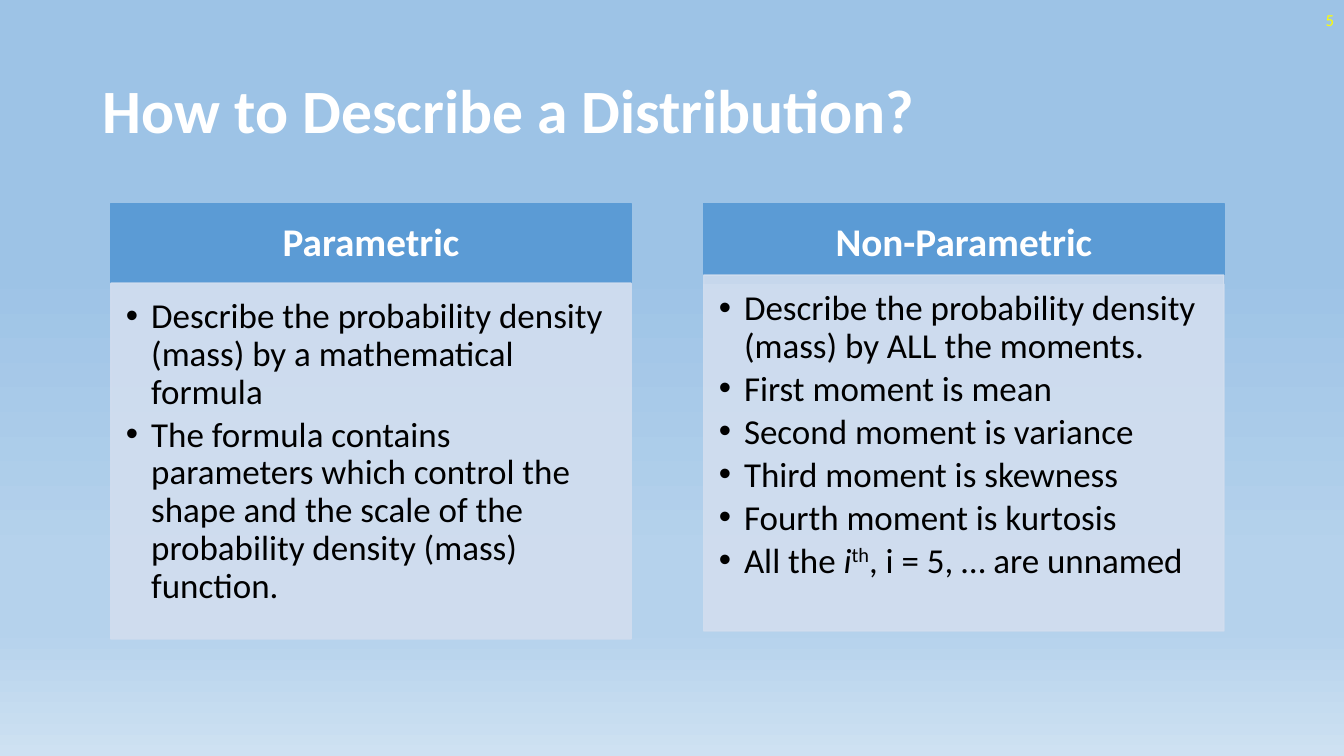
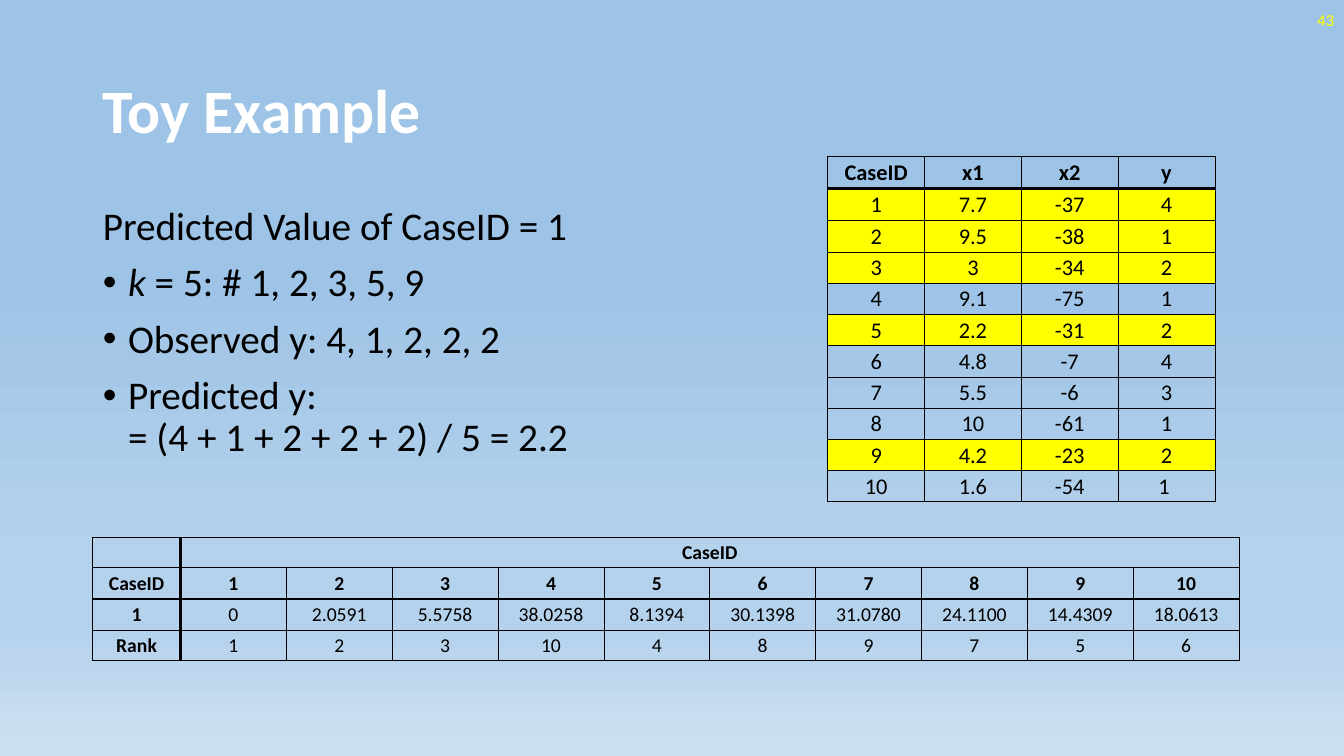
from lxml.etree import SubElement
from pptx import Presentation
from pptx.dml.color import RGBColor
from pptx.enum.shapes import MSO_SHAPE as SHAPE
from pptx.enum.text import MSO_ANCHOR as ANCHOR, MSO_AUTO_SIZE as FIT, PP_ALIGN as ALIGN
from pptx.oxml.ns import qn
from pptx.util import Inches, Pt

FONT = "Calibri"
WHITE = RGBColor(0xFF, 0xFF, 0xFF)
BLACK = RGBColor(0, 0, 0)
YELLOW = RGBColor(0xFF, 0xFF, 0)
BLUE = RGBColor(0x5B, 0x9B, 0xD5)
PALE = RGBColor(0xD2, 0xDE, 0xEF)
SKY = [(35, RGBColor(0x9D, 0xC3, 0xE6)), (74, RGBColor(0xB5, 0xD2, 0xEC)),
       (83, RGBColor(0xB5, 0xD2, 0xEC)), (100, RGBColor(0xCE, 0xE1, 0xF2))]

ITALIC = {"italic": True}
CARDS = [
    ("Parametric", 1.1, 2.81, [
        ["Describe the probability density (mass) by a mathematical formula"],
        ["The formula contains parameters which control the shape and the scale "
         "of the probability density (mass) function."],
    ]),
    ("Non-Parametric", 6.98, 2.73, [
        ["Describe the probability density (mass) by ALL the moments."],
        ["First moment is mean"],
        ["Second moment is variance"],
        ["Third moment is skewness"],
        ["Fourth moment is kurtosis"],
        ["All the ", ("i", ITALIC), ("th", {"baseline": 30}), ", i = 5, … are unnamed"],
    ]),
]
STEPS = [
    ["Predicted Value of CaseID = 1"],
    [("k", ITALIC), " = 5: # 1, 2, 3, 5, 9"],
    ["Observed y: 4, 1, 2, 2, 2"],
    ["Predicted y:", "\n", "= (4 + 1 + 2 + 2 + 2) / 5 = 2.2"],
]
CASES = [
    ("CaseID", "x1", "x2", "y"),
    ("1", "7.7", "-37", "4"),
    ("2", "9.5", "-38", "1"),
    ("3", "3", "-34", "2"),
    ("4", "9.1", "-75", "1"),
    ("5", "2.2", "-31", "2"),
    ("6", "4.8", "-7", "4"),
    ("7", "5.5", "-6", "3"),
    ("8", "10", "-61", "1"),
    ("9", "4.2", "-23", "2"),
    ("10", "1.6", "-54", "1 "),
]
NEAREST = {1, 2, 3, 5, 9}
DISTANCES = [
    ("", "CaseID") + ("",) * 9,
    ("CaseID",) + tuple(str(n) for n in range(1, 11)),
    ("1", "0", "2.0591", "5.5758", "38.0258", "8.1394", "30.1398", "31.0780",
     "24.1100", "14.4309", "18.0613"),
    ("Rank", "1", "2", "3", "10", "4", "8", "9", "7", "5", "6"),
]


def assign(obj, **values):
    for name, value in values.items():
        setattr(obj, name, value)


def box(*lengths):
    return [Inches(n) for n in lengths]


def place(sp, *lengths):
    assign(sp, **dict(zip(("left", "top", "width", "height"), box(*lengths))))


def frame(tf, anchor, ins=(0.1, 0.05, 0.1, 0.05)):
    sides = ("margin_left", "margin_top", "margin_right", "margin_bottom")
    assign(tf, word_wrap=True, auto_size=FIT.NONE, vertical_anchor=anchor,
           **dict(zip(sides, box(*ins))))


def write(p, parts, size, color, bold=False, **layout):
    assign(p, **layout)
    for part in parts:
        if part == "\n":
            p.add_line_break()
            continue
        text, extra = (part, {}) if isinstance(part, str) else part
        r = p.add_run()
        r.text = text
        assign(r.font, name=FONT, size=Pt(size), bold=bold, italic=extra.get("italic", False))
        r.font.color.rgb = color
        if "baseline" in extra:
            r.font._element.set("baseline", str(extra["baseline"] * 1000))


def bullet(p, on=True):
    pPr = p._p.get_or_add_pPr()
    indent = Inches(0.25) if on else 0
    pPr.set("marL", str(indent))
    pPr.set("indent", str(-indent))
    if on:
        SubElement(pPr, qn("a:buFont"), typeface="Arial")
        SubElement(pPr, qn("a:buChar"), char="•")
    else:
        SubElement(pPr, qn("a:buNone"))


def paragraphs(tf, count):
    return [tf.paragraphs[0]] + [tf.add_paragraph() for _ in range(count - 1)]


def paint_sky(master):
    master.background.fill.gradient()
    grad = master.element.find(".//" + qn("a:gradFill"))
    for child in list(grad):
        grad.remove(child)
    stops = SubElement(grad, qn("a:gsLst"))
    for pos, color in SKY:
        gs = SubElement(stops, qn("a:gs"), pos=str(pos * 1000))
        SubElement(gs, qn("a:srgbClr"), val=str(color))
    SubElement(grad, qn("a:lin"), ang="5400000", scaled="0")


def new_slide(prs, layout, title, number):
    s = prs.slides.add_slide(prs.slide_layouts[layout])
    place(s.shapes.title, 0.92, 0.4, 11.5, 1.45)
    tf = s.shapes.title.text_frame
    frame(tf, ANCHOR.MIDDLE)
    write(tf.paragraphs[0], [title], 44, WHITE, True, alignment=ALIGN.LEFT, line_spacing=0.9)
    tf = s.shapes.add_textbox(*box(10.33, 0, 3, 0.4)).text_frame
    frame(tf, ANCHOR.MIDDLE)
    write(tf.paragraphs[0], [number], 12, YELLOW, alignment=ALIGN.RIGHT)
    return s


def panel(s, lengths, color, anchor, ins, alpha=None):
    sp = s.shapes.add_shape(SHAPE.RECTANGLE, *box(*lengths))
    sp.shadow.inherit = False
    sp.fill.solid()
    sp.fill.fore_color.rgb = color
    sp.line.color.rgb = color
    sp.line.width = Pt(1)
    if alpha:
        for clr in sp._element.spPr.iter(qn("a:srgbClr")):
            SubElement(clr, qn("a:alpha"), val=str(alpha * 1000))
    frame(sp.text_frame, anchor, ins)
    return sp.text_frame


def card(s, heading, left, body_top, items):
    tf = panel(s, (left, 2.02, 5.16, 0.79), BLUE, ANCHOR.MIDDLE, (0.22, 0.12, 0.22, 0.12))
    write(tf.paragraphs[0], [heading], 28, WHITE, True, alignment=ALIGN.CENTER, line_spacing=0.9)
    tf = panel(s, (left, body_top, 5.16, 3.53), PALE, ANCHOR.TOP, (0.15, 0.15, 0.19, 0.22), 90)
    for p, parts in zip(paragraphs(tf, len(items)), items):
        write(p, parts, 25, BLACK, alignment=ALIGN.LEFT, line_spacing=0.9, space_after=Pt(3.75))
        bullet(p)


def border(cell, heavy):
    tcPr = cell._tc.get_or_add_tcPr()
    for side in "LRTB":
        width = Pt(2 if side in heavy else 0.5)
        ln = SubElement(tcPr, qn("a:ln" + side), w=str(width))
        fill = SubElement(ln, qn("a:solidFill"))
        SubElement(fill, qn("a:srgbClr"), val=str(BLACK))


def grid(s, rows, left, top, widths, heights, size, head_rows, head_cols, marked=()):
    lengths = box(left, top, sum(widths), sum(heights))
    table = s.shapes.add_table(len(rows), len(widths), *lengths).table
    assign(table, first_row=False, horz_banding=False)
    for col, width in zip(table.columns, widths):
        col.width = Inches(width)
    for row, height in zip(table.rows, heights):
        row.height = Inches(height)
    for i, values in enumerate(rows):
        for j, text in enumerate(values):
            cell = table.cell(i, j)
            heavy = {"B": i + 1 == head_rows, "T": i == head_rows,
                     "R": j + 1 == head_cols, "L": head_cols and j == head_cols}
            border(cell, [side for side, on in heavy.items() if on])
            assign(cell, vertical_anchor=ANCHOR.MIDDLE, margin_left=Inches(0.01),
                   margin_top=Inches(0.01), margin_right=Inches(0.01), margin_bottom=0)
            if i in marked:
                cell.fill.solid()
                cell.fill.fore_color.rgb = YELLOW
            else:
                cell.fill.background()
            p = cell.text_frame.paragraphs[0]
            if text:
                write(p, [text], size, BLACK, i < head_rows or j < head_cols,
                      alignment=ALIGN.CENTER)
            else:
                SubElement(p._p, qn("a:endParaRPr"), sz=str(size * 100))
    return table


def describe_slide(prs):
    s = new_slide(prs, 5, "How to Describe a Distribution?", "5")
    for content in CARDS:
        card(s, *content)


def example_slide(prs):
    s = new_slide(prs, 1, "Toy Example", "43")
    body = s.placeholders[1]
    place(body, 0.92, 2, 11.5, 3.2)
    tf = body.text_frame
    frame(tf, ANCHOR.TOP)
    tf._txBody.bodyPr.set("numCol", "2")
    for i, (p, parts) in enumerate(zip(paragraphs(tf, len(STEPS)), STEPS)):
        write(p, parts, 28, BLACK, line_spacing=0.9, space_before=Pt(10))
        bullet(p, i > 0)
    distances = grid(s, DISTANCES, 0.92, 5.33, [0.87] + [1.05] * 10,
                     [0.3, 0.31, 0.31, 0.3], 14, 2, 1)
    distances.cell(0, 1).merge(distances.cell(0, 10))
    grid(s, CASES, 8.21, 1.55, [0.96] * 4, [0.32] * 2 + [0.31] * 9, 16, 1, 0, NEAREST)


def main():
    prs = Presentation()
    assign(prs, slide_width=Inches(13.33), slide_height=Inches(7.5))
    paint_sky(prs.slide_master)
    describe_slide(prs)
    example_slide(prs)
    prs.save("out.pptx")


if __name__ == "__main__":
    main()
